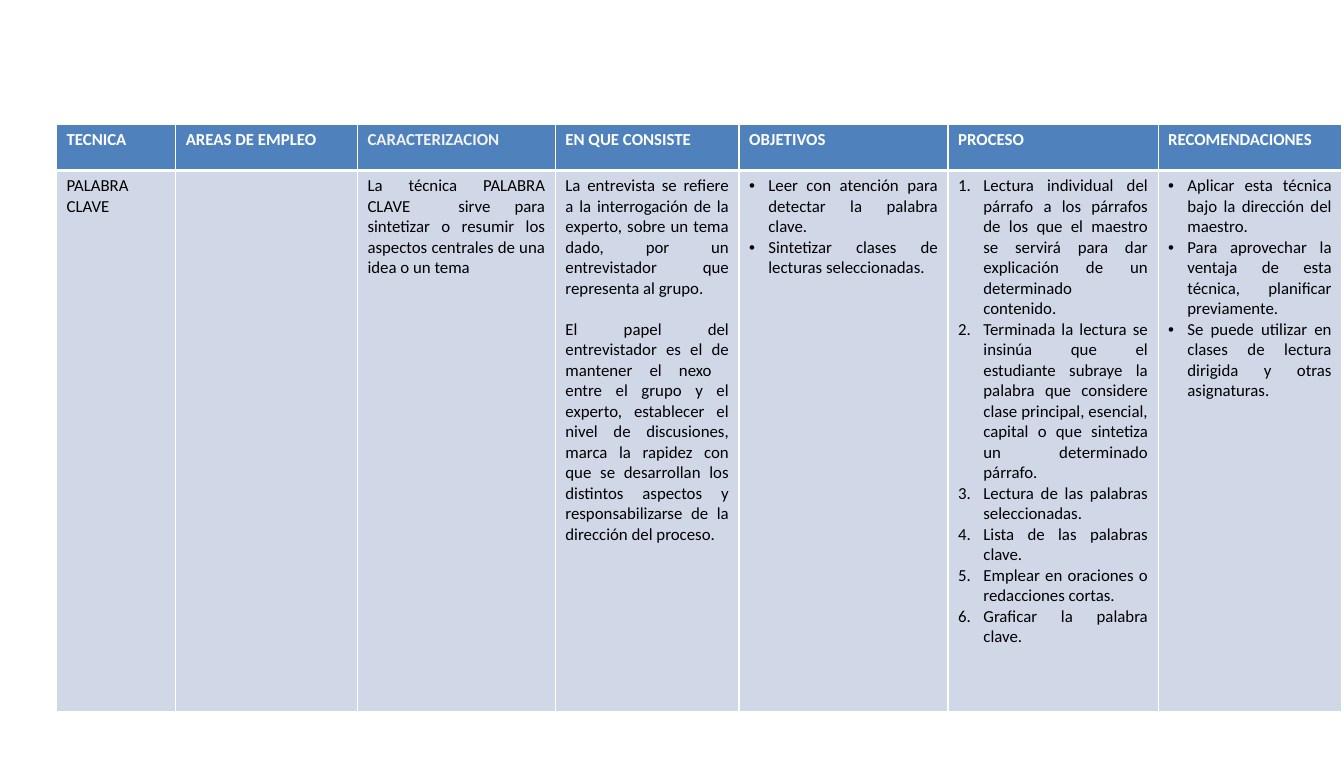
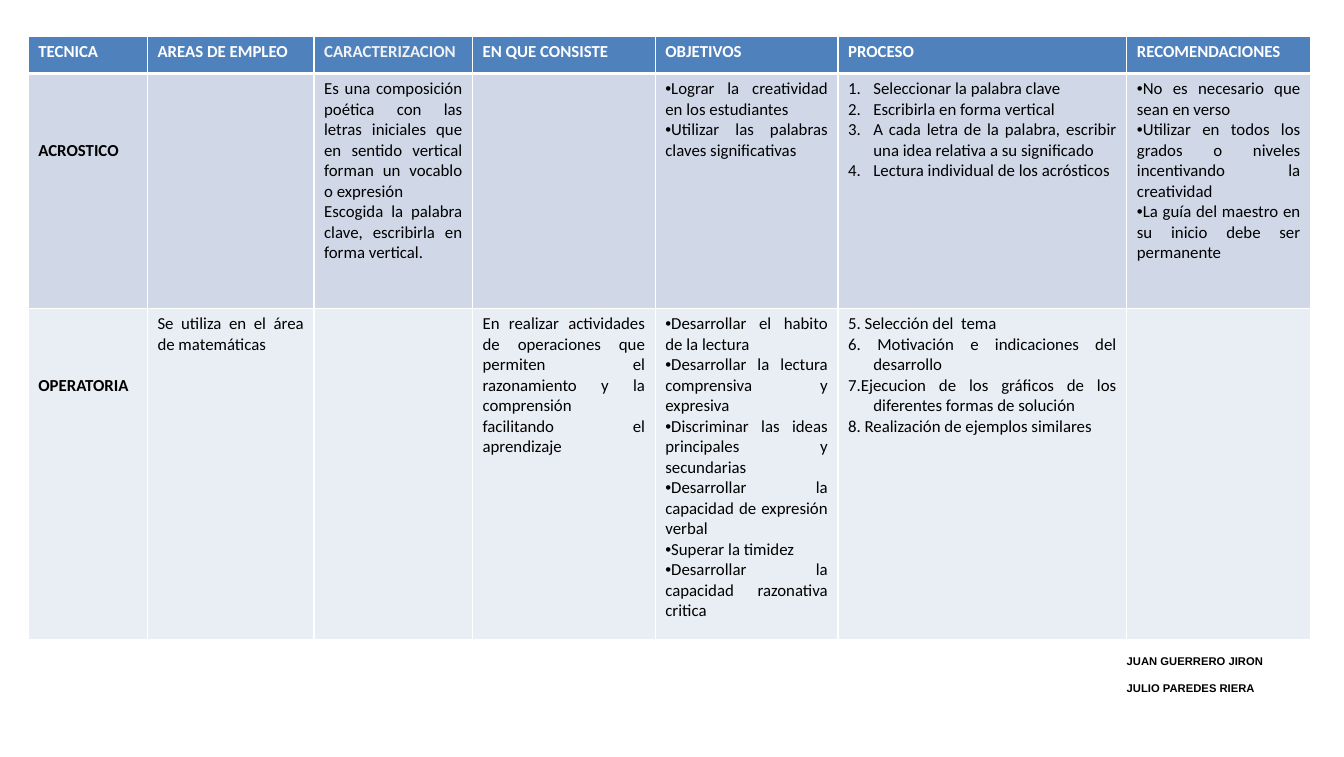
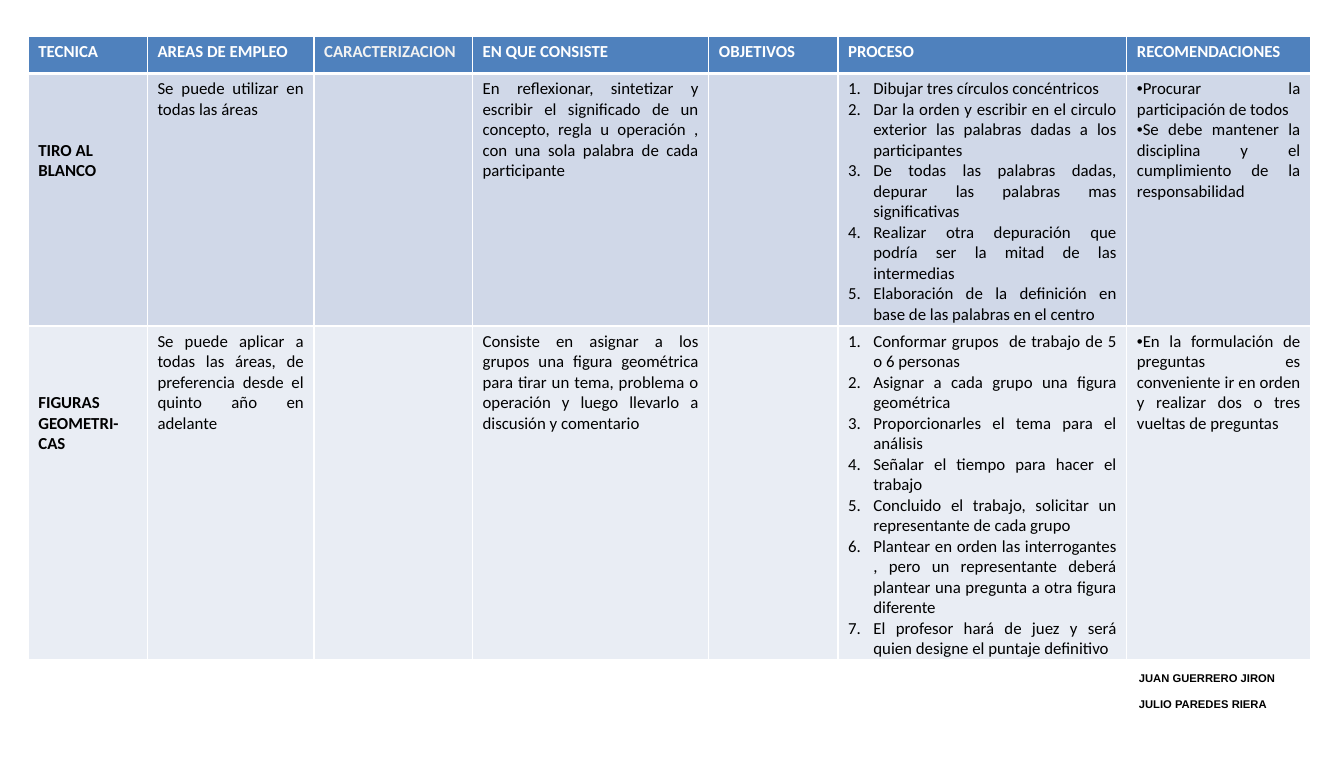
from lxml import etree
from pptx import Presentation
from pptx.dml.color import RGBColor
from pptx.enum.text import MSO_ANCHOR, PP_ALIGN
from pptx.oxml.ns import qn
from pptx.util import Inches, Pt

# Shared look
HUES = {"head": "4F81BD", "odd": "D0D8E8", "even": "E9EDF4",
        "white": "FFFFFF", "pale": "F2F2F2", "ink": "000000"}
LINE = 14.65  # height of one table text line, in points
HEADS = ["TECNICA", "AREAS DE EMPLEO", "CARACTERIZACION", "EN QUE CONSISTE",
         "OBJETIVOS", "PROCESO", "RECOMENDACIONES"]
MARKS = {4: "•", 5: "1.", 6: "•"}  # list style by column
NAMES = ["JUAN GUERRERO JIRON", "JULIO PAREDES RIERA"]


def write(frame, lines, size=12, font="Calibri", hue="ink", bold=False,
          align=PP_ALIGN.JUSTIFY, mark=None, indent=0, gap=0):
    """Fill a text frame, one paragraph a line; gap is the space between."""
    for i, line in enumerate(lines):
        para = frame.add_paragraph() if i else frame.paragraphs[0]
        para.alignment = align
        if i and gap:
            para.space_before = Pt(gap)
        props = para._p.get_or_add_pPr()
        if indent:
            props.set("marL", str(Inches(indent)))
            props.set("indent", str(-Inches(indent)))
        if mark == "•":
            etree.SubElement(props, qn("a:buFont"), typeface="Arial")
            etree.SubElement(props, qn("a:buChar"), char=mark)
        elif mark:
            etree.SubElement(props, qn("a:buFont"), typeface="+mj-lt")
            etree.SubElement(props, qn("a:buAutoNum"), type="arabicPeriod")
        run = para.add_run()
        run.text = line
        run.font.size = Pt(size)
        run.font.name = font
        run.font.bold = bold
        run.font.color.rgb = RGBColor.from_string(HUES[hue])


def paint(cell, hue, top=1, base=1):
    """Fill a cell and draw its white borders, widths in points."""
    cell.fill.solid()
    cell.fill.fore_color.rgb = RGBColor.from_string(HUES[hue])
    props = cell._tc.get_or_add_tcPr()
    for i, (side, width) in enumerate(
            [("L", 1), ("R", 1), ("T", top), ("B", base)]):
        edge = etree.Element(qn("a:ln" + side), w=str(Pt(width)))
        fill = etree.SubElement(edge, qn("a:solidFill"))
        etree.SubElement(fill, qn("a:srgbClr"), val=HUES["white"])
        props.insert(i, edge)


# Content: one list of paragraphs for each cell
PAGES = [
    {"at": (0.56, 1.23), "cols": [1.18, 1.8, 1.96, 1.82, 2.07, 2.08, 1.82],
     "rows": [0.46, 5.36], "bold": False, "drop": 0, "bullet": 0.19,
     "body": [[
         ["PALABRA CLAVE"],
         [],
         ["La técnica PALABRA CLAVE  sirve para sintetizar o resumir los "
          "aspectos centrales de una idea o un tema"],
         ["La entrevista se refiere a la interrogación de la experto, sobre un "
          "tema dado, por un entrevistador que representa al grupo.",
          "El papel del entrevistador es el de mantener el nexo  entre el grupo "
          "y el experto, establecer el nivel de discusiones, marca la rapidez "
          "con que se desarrollan los distintos aspectos y responsabilizarse "
          "de la dirección del proceso."],
         ["Leer con atención para detectar la palabra clave.",
          "Sintetizar clases de lecturas seleccionadas."],
         ["Lectura individual del párrafo a los párrafos de los que el maestro "
          "se servirá para dar explicación de un determinado contenido.",
          "Terminada la lectura se insinúa que el estudiante subraye la palabra "
          "que considere clase principal, esencial, capital o que sintetiza un "
          "determinado párrafo.",
          "Lectura de las palabras seleccionadas.",
          "Lista de las palabras clave.",
          "Emplear en oraciones o redacciones cortas.",
          "Graficar la palabra clave."],
         ["Aplicar esta técnica bajo la dirección del maestro.",
          "Para aprovechar la ventaja de esta técnica, planificar previamente.",
          "Se puede utilizar en clases de lectura dirigida y otras "
          "asignaturas."],
     ]]},
    {"at": (0.28, 0.36), "cols": [1.18, 1.65, 1.57, 1.81, 1.81, 2.86, 1.82],
     "rows": [0.37, 2.33, 3.28], "bold": True, "drop": 3, "bullet": 0,
     "names": (11.06, 6.58),
     "body": [[
         ["ACROSTICO"],
         [],
         ["Es una composición poética con las letras iniciales que en sentido "
          "vertical forman un vocablo o expresión",
          "Escogida la palabra clave, escribirla en forma vertical."],
         [],
         ["Lograr la creatividad en los estudiantes",
          "Utilizar las palabras claves significativas"],
         ["Seleccionar la palabra clave",
          "Escribirla en forma vertical",
          "A cada letra de la palabra, escribir una idea relativa a su "
          "significado",
          "Lectura individual de los acrósticos"],
         ["No es necesario que sean en verso",
          "Utilizar en todos los grados o niveles incentivando la creatividad",
          "La guía del maestro en su inicio debe ser permanente"],
     ], [
         ["OPERATORIA"],
         ["Se utiliza en el área de matemáticas"],
         [],
         ["En realizar actividades de operaciones que permiten el razonamiento "
          "y la comprensión facilitando el aprendizaje"],
         ["Desarrollar el habito de la lectura",
          "Desarrollar la lectura comprensiva y expresiva",
          "Discriminar las ideas principales y secundarias",
          "Desarrollar la capacidad de expresión verbal",
          "Superar la timidez",
          "Desarrollar la capacidad razonativa critica"],
         ["5. Selección del  tema",
          "6. Motivación e indicaciones del desarrollo",
          "7.Ejecucion de los gráficos de los diferentes formas de solución",
          "8. Realización de ejemplos similares"],
         [],
     ]]},
    {"at": (0.28, 0.36), "cols": [1.18, 1.65, 1.57, 2.34, 1.28, 2.86, 1.82],
     "rows": [0.37, 2.33, 3.28], "bold": True, "drop": 3, "bullet": 0,
     "names": (11.18, 6.74),
     "body": [[
         ["TIRO AL BLANCO"],
         ["Se puede utilizar en todas las áreas"],
         [],
         ["En reflexionar, sintetizar y escribir el significado de un concepto, "
          "regla u operación , con una sola palabra de cada participante"],
         [],
         ["Dibujar tres círculos concéntricos",
          "Dar la orden y escribir en el circulo exterior las palabras dadas a "
          "los participantes",
          "De todas las palabras dadas, depurar las palabras mas "
          "significativas",
          "Realizar otra depuración que podría ser la mitad de las intermedias",
          "Elaboración de la definición en base de las palabras en el centro"],
         ["Procurar la participación de todos",
          "Se debe mantener la disciplina y el cumplimiento de la "
          "responsabilidad"],
     ], [
         ["FIGURAS GEOMETRI-CAS"],
         ["Se puede aplicar a todas las áreas, de preferencia desde el quinto "
          "año en adelante"],
         [],
         ["Consiste en asignar a los grupos una figura geométrica para tirar un "
          "tema, problema o operación y luego llevarlo a discusión y "
          "comentario"],
         [],
         ["Conformar grupos  de trabajo de 5 o 6 personas",
          "Asignar a cada grupo una figura geométrica",
          "Proporcionarles el tema para el análisis",
          "Señalar el tiempo para hacer el trabajo",
          "Concluido el trabajo, solicitar un representante de cada grupo",
          "Plantear en orden las interrogantes , pero un representante deberá "
          "plantear una pregunta a otra figura diferente",
          "El profesor hará de juez y será quien designe el puntaje "
          "definitivo"],
         ["En la formulación de preguntas es conveniente ir en orden y realizar "
          "dos o tres vueltas de preguntas"],
     ]]},
]

deck = Presentation()
deck.slide_width, deck.slide_height = Inches(13.31), Inches(7.5)

for page in PAGES:
    slide = deck.slides.add_slide(deck.slide_layouts[6])
    cols, rows = page["cols"], page["rows"]
    left, top = page["at"]
    grid = slide.shapes.add_table(
        len(rows), len(cols), Inches(left), Inches(top),
        Inches(sum(cols)), Inches(sum(rows))).table
    grid.horz_banding = False
    for col, width in zip(grid.columns, cols):
        col.width = Inches(width)
    for row, height in zip(grid.rows, rows):
        row.height = Inches(height)

    # Header row
    for c, head in enumerate(HEADS):
        cell = grid.cell(0, c)
        paint(cell, "head", base=3)
        write(cell.text_frame, [head], bold=True,
              hue="pale" if c == 2 else "white")

    # Body rows
    for r, texts in enumerate(page["body"], 1):
        for c, lines in enumerate(texts):
            cell = grid.cell(r, c)
            paint(cell, "odd" if r % 2 else "even", top=3 if r == 1 else 1)
            if not lines:
                continue
            if c == 0:
                cell.margin_top = Inches(0.05) + Pt(LINE * page["drop"])
                write(cell.text_frame, lines, bold=page["bold"],
                      align=PP_ALIGN.LEFT)
            elif c in MARKS:
                typed = lines[0][0].isdigit()  # numbers already in the text
                write(cell.text_frame, lines,
                      mark=None if typed else MARKS[c],
                      indent=0.25 if c == 5 else page["bullet"])
            else:
                write(cell.text_frame, lines, gap=LINE if c == 3 else 0)

    # Authors
    if "names" in page:
        left, top = page["names"]
        box = slide.shapes.add_textbox(
            Inches(left), Inches(top), Inches(2.13), Inches(0.35))
        box.text_frame.word_wrap = True
        box.text_frame.vertical_anchor = MSO_ANCHOR.BOTTOM
        write(box.text_frame, NAMES, size=8, font="Arial", bold=True,
              align=PP_ALIGN.LEFT, gap=9.2)

deck.save("out.pptx")
